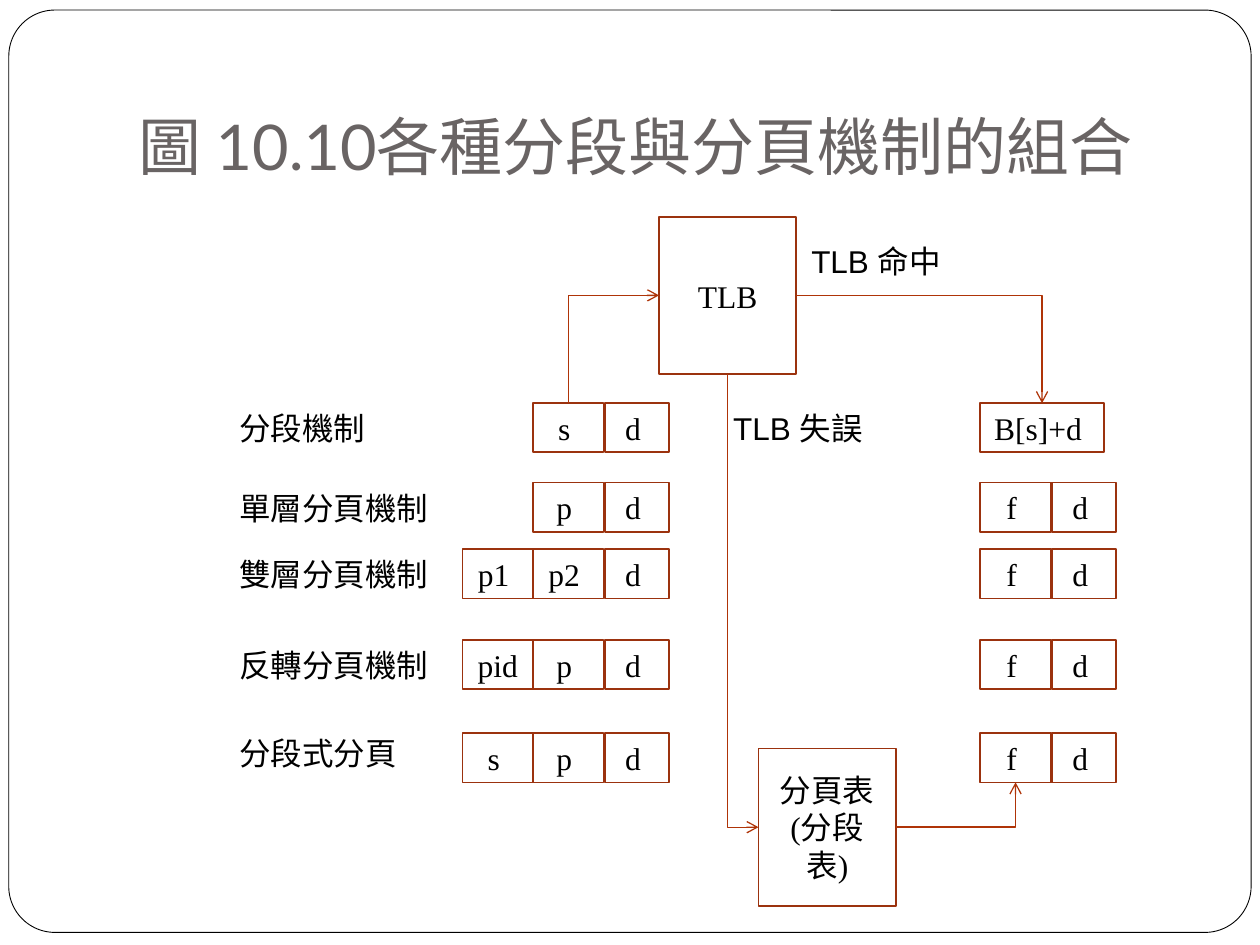
import pptx
import pptx.dml.color
import pptx.enum.shapes
import pptx.enum.text
import pptx.oxml
import pptx.oxml.ns
import pptx.util
from pptx.util import Inches

TITLE = "圖 10.10各種分段與分頁機制的組合"
ROWS = [
    ("分段機制", 3.2, 3.2, ["s ", "d "], ["B[s]+d "]),
    ("單層分頁機制", 3.83, 3.83, ["p ", "d "], ["f ", "d "]),
    ("雙層分頁機制", 4.36, 4.36, ["p1 ", "p2 ", "d "], ["f ", "d "]),
    ("反轉分頁機制", 5.08, 5.08, ["pid ", "p ", "d "], ["f ", "d "]),
    ("分段式分頁", 5.82, 5.78, ["s ", "p ", "d "], ["f ", "d "]),
]
ADDRESS_COLUMNS = [(3.67, 0.56), (4.23, 0.56), (4.8, 0.51)]
RESULT_COLUMNS = [(7.78, 0.56), (8.35, 0.51)]
WIDE_RESULT = [(7.78, 0.98)]
CELL_HEIGHT = 0.39
NOTES = [("TLB 命中", 6.34, 1.87, 1.29), ("TLB 失誤", 5.72, 3.2, 1.29)]
TABLES = {"tlb": ("TLB", 5.23, 1.72), "page table": ("分頁表\n(分段表)", 6.02, 5.94)}
TOP, LEFT, BOTTOM, RIGHT = range(4)
ARROWS = [
    ("segment", TOP, "tlb", LEFT, 90, True, True),
    ("tlb", RIGHT, "segment result", TOP, 0, False, False),
    ("tlb", BOTTOM, "page table", LEFT, 270, True, False),
    ("page table", RIGHT, "last frame", BOTTOM, 0, False, True),
]


def color(hex_value):
    return pptx.dml.color.RGBColor.from_string(hex_value)


def set_text(shape, text, font, size=18, hex_value="000000", align="LEFT"):
    shape.text_frame.text = text
    for paragraph in shape.text_frame.paragraphs:
        paragraph.alignment = pptx.enum.text.PP_ALIGN[align]
        for run in paragraph.runs:
            run.font.name = font
            run.font.size = pptx.util.Pt(size)
            run.font.color.rgb = color(hex_value)


def add_box(slide, text, left, top, width, height):
    shape = slide.shapes.add_shape(
        pptx.enum.shapes.MSO_SHAPE.RECTANGLE, *map(Inches, (left, top, width, height)))
    shape.shadow.inherit = False
    shape.fill.background()
    shape.line.color.rgb = color("9B320E")
    shape.line.width = pptx.util.Pt(1)
    shape.text_frame.word_wrap = True
    shape.text_frame.vertical_anchor = pptx.enum.text.MSO_ANCHOR.MIDDLE
    set_text(shape, text, "Times New Roman", align="CENTER")
    return shape


def add_cells(slide, texts, columns, top):
    return [add_box(slide, text, left, top, width, CELL_HEIGHT)
            for text, (left, width) in zip(texts, columns)]


def add_label(slide, text, left, top, width):
    label = slide.shapes.add_textbox(*map(Inches, (left, top, width, 0.4)))
    label.text_frame.word_wrap = False
    set_text(label, text, "Arial")


def add_arrow(slide, start, start_site, end, end_site, rotation, flip_h, flip_v):
    arrow = slide.shapes.add_connector(pptx.enum.shapes.MSO_CONNECTOR.ELBOW, 0, 0, 0, 0)
    arrow.begin_connect(start, start_site)
    arrow.end_connect(end, end_site)
    arrow.line.color.rgb = color("AF3408")
    arrow.line.width = pptx.util.Pt(0.75)
    left, top, width, height = arrow.left, arrow.top, arrow.width, arrow.height
    if rotation:
        arrow.left = left + (width - height) // 2
        arrow.top = top + (height - width) // 2
        arrow.width, arrow.height = height, width
    properties = arrow._element.spPr
    transform = properties.find(pptx.oxml.ns.qn("a:xfrm"))
    transform.set("rot", str(rotation * 60000))
    transform.set("flipH", str(int(flip_h)))
    transform.set("flipV", str(int(flip_v)))
    properties.find(pptx.oxml.ns.qn("a:prstGeom")).set("prst", "bentConnector2")
    namespace = pptx.oxml.ns.nsdecls("a")
    line = properties.find(pptx.oxml.ns.qn("a:ln"))
    line.append(pptx.oxml.parse_xml(f'<a:tailEnd {namespace} type="arrow"/>'))
    properties.append(pptx.oxml.parse_xml(f"<a:effectLst {namespace}/>"))


def add_frame(slide):
    frame = slide.shapes.add_shape(
        pptx.enum.shapes.MSO_SHAPE.ROUNDED_RECTANGLE, *map(Inches, (0.07, 0.08, 9.86, 7.32)))
    frame.adjustments[0] = 0.05
    frame.shadow.inherit = False
    frame.fill.solid()
    frame.fill.fore_color.rgb = color("FFFFFF")
    frame.line.color.rgb = color("000000")
    frame.line.width = pptx.util.Pt(0.5)
    slide.shapes._spTree.insert(2, frame._element)


def add_title(slide):
    title = slide.shapes.title
    title.left, title.top, title.width, title.height = map(Inches, (1, 0.3, 8.5, 1.25))
    text_frame = title.text_frame
    text_frame.auto_size = pptx.enum.text.MSO_AUTO_SIZE.NONE
    text_frame.vertical_anchor = pptx.enum.text.MSO_ANCHOR.BOTTOM
    text_frame.margin_bottom = Inches(0.1)
    set_text(title, TITLE, "Lato", 36, "696464")


def main():
    """Build the slide on combinations of segmentation and paging."""
    presentation = pptx.Presentation()
    presentation.slide_width, presentation.slide_height = Inches(10), Inches(7.5)
    slide = presentation.slides.add_slide(presentation.slide_layouts[5])
    add_frame(slide)
    add_title(slide)

    boxes = {name: add_box(slide, text, left, top, 1.09, 1.25)
             for name, (text, left, top) in TABLES.items()}
    addresses, results = [], []
    for label, top, label_top, address, result in ROWS:
        add_label(slide, label, 1.8, label_top, 1.7)
        addresses.append(add_cells(slide, address, ADDRESS_COLUMNS[-len(address):], top))
        columns = WIDE_RESULT if len(result) == 1 else RESULT_COLUMNS
        results.append(add_cells(slide, result, columns, top))
    boxes["segment"] = addresses[0][0]
    boxes["segment result"] = results[0][0]
    boxes["last frame"] = results[-1][0]

    for start, start_site, end, end_site, *turn in ARROWS:
        add_arrow(slide, boxes[start], start_site, boxes[end], end_site, *turn)
    for note in NOTES:
        add_label(slide, *note)
    presentation.save("out.pptx")


if __name__ == "__main__":
    main()
